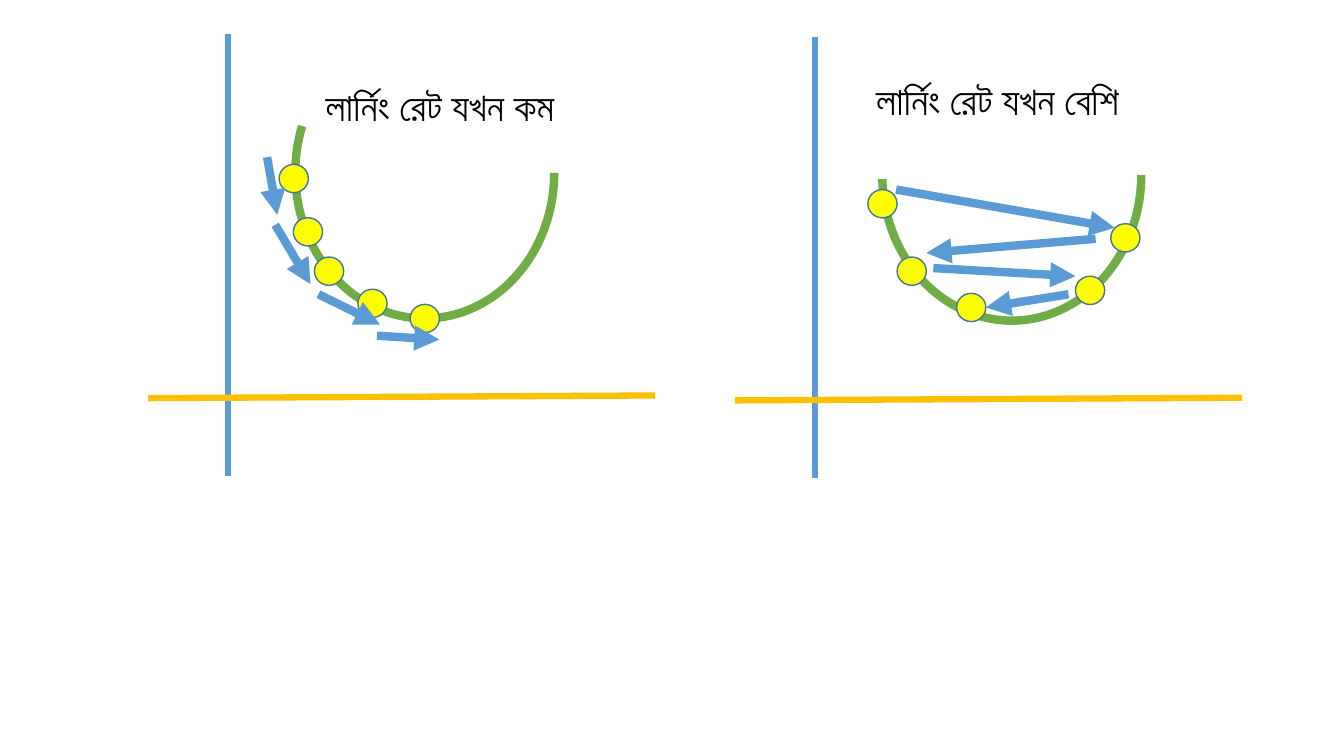
"""Build a slide comparing gradient descent with a low and a high learning rate."""
from pptx import Presentation
from pptx.dml.color import RGBColor
from pptx.enum.shapes import MSO_CONNECTOR as Connector, MSO_SHAPE as Shape
from pptx.enum.text import MSO_ANCHOR as Anchor, MSO_AUTO_SIZE as AutoSize, PP_ALIGN as Align
from pptx.oxml.ns import qn
from pptx.oxml.xmlchemy import OxmlElement
from pptx.util import Pt

BLUE = RGBColor(0x5B, 0x9B, 0xD5)
GOLD = RGBColor(0xFF, 0xC0, 0x00)
GREEN = RGBColor(0x70, 0xAD, 0x47)
YELLOW = RGBColor(0xFF, 0xFF, 0x00)
OUTLINE = RGBColor(0x43, 0x73, 0x9E)
BLACK = RGBColor(0x00, 0x00, 0x00)

COMPARISON_LAYOUT = 4
PANELS = [
    {
        "caption": "লার্নিং রেট যখন কম",
        "placeholder": 1,
        "caption_at": (131, 55.4),
        "offset": (0, 0),
        "arc_end": 66.54,
        "balls": [(199.4, 117.4), (209.5, 155.5), (224.6, 183.6), (255.6, 206.6), (293, 217.4)],
        "steps": [
            (190.8, 112.3, 198, 153.4),
            (196.6, 160.6, 221.8, 203),
            (227.5, 210.2, 271.4, 231.8),
            (269.3, 239.8, 313.9, 242.6),
        ],
    },
    {
        "caption": "লার্নিং রেট যখন বেশি",
        "placeholder": 3,
        "caption_at": (529.2, 51.1),
        "offset": (419.3, 1.6),
        "arc_end": 52.95,
        "balls": [(619.9, 135.4), (793.4, 159.8), (640.8, 183.6), (768.2, 197.3), (683.3, 209.5)],
        "steps": [
            (640.1, 135.4, 796.3, 162.7),
            (782.6, 170.6, 661.7, 180.7),
            (666.7, 191.5, 768.2, 197.3),
            (763.2, 210.2, 704.2, 219.6),
        ],
    },
]


def set_all(target, values):
    for name, value in values.items():
        setattr(target, name, value)


class Sketch:
    caption_font = {"name": "Calibri", "size": Pt(28), "bold": False}
    caption_frame = {
        "word_wrap": True,
        "vertical_anchor": Anchor.TOP,
        "auto_size": AutoSize.SHAPE_TO_FIT_TEXT,
    }
    caption_paragraph = {"alignment": Align.CENTER, "space_before": Pt(0)}
    caption_size = (366.5, 41)
    ball_size = (20.9, 20.2)
    axis_width = 4.5
    curve_width = 6

    def __init__(self, slide):
        self.slide = slide

    def stroke(self, shape, color, width):
        shape.line.color.rgb = color
        shape.line.width = Pt(width)

    def caption(self, index, text, at):
        shape = self.slide.placeholders[index]
        names = ("left", "top", "width", "height")
        set_all(shape, dict(zip(names, map(Pt, at + self.caption_size))))
        frame = shape.text_frame
        frame.text = text
        set_all(frame, self.caption_frame)
        paragraph = frame.paragraphs[0]
        set_all(paragraph, self.caption_paragraph)
        font = paragraph.runs[0].font
        set_all(font, self.caption_font)
        font.color.rgb = BLACK

    def line(self, ends, color, width):
        connector = self.slide.shapes.add_connector(Connector.STRAIGHT, *map(Pt, ends))
        self.stroke(connector, color, width)
        connector.element.spPr.append(OxmlElement("a:effectLst"))
        return connector

    def arrow(self, ends):
        connector = self.line(ends, BLUE, self.curve_width)
        head = OxmlElement("a:tailEnd")
        head.set("type", "triangle")
        connector.element.spPr.find(qn("a:ln")).append(head)

    def axes(self, x, y):
        self.line((x + 162.7, y + 24.6, x + 162.7, y + 339.8), BLUE, self.axis_width)
        self.line((x + 105.8, y + 284.4, x + 468, y + 282.5), GOLD, self.axis_width)

    def curve(self, x, y, end):
        arc = self.slide.shapes.add_shape(
            Shape.ARC, Pt(x + 199.4), Pt(y + 31), Pt(208), Pt(185)
        )
        arc.rotation = 90
        arc.adjustments[0] = 162
        arc.adjustments[1] = end
        arc.shadow.inherit = False
        arc.fill.background()
        self.stroke(arc, GREEN, self.curve_width)

    def ball(self, at):
        ball = self.slide.shapes.add_shape(Shape.OVAL, *map(Pt, at + self.ball_size))
        ball.shadow.inherit = False
        ball.fill.solid()
        ball.fill.fore_color.rgb = YELLOW
        self.stroke(ball, OUTLINE, 1)

    def panel(self, panel):
        self.axes(*panel["offset"])
        self.curve(*panel["offset"], panel["arc_end"])
        for at in panel["balls"]:
            self.ball(at)
        for ends in panel["steps"]:
            self.arrow(ends)
        self.caption(panel["placeholder"], panel["caption"], panel["caption_at"])

    def remove_empty_placeholders(self):
        for placeholder in list(self.slide.placeholders):
            if not placeholder.text_frame.text:
                placeholder.element.getparent().remove(placeholder.element)


def main():
    presentation = Presentation()
    presentation.slide_width = Pt(960)
    presentation.slide_height = Pt(540)
    layout = presentation.slide_layouts[COMPARISON_LAYOUT]
    sketch = Sketch(presentation.slides.add_slide(layout))
    for panel in PANELS:
        sketch.panel(panel)
    sketch.remove_empty_placeholders()
    presentation.save("out.pptx")


if __name__ == "__main__":
    main()
